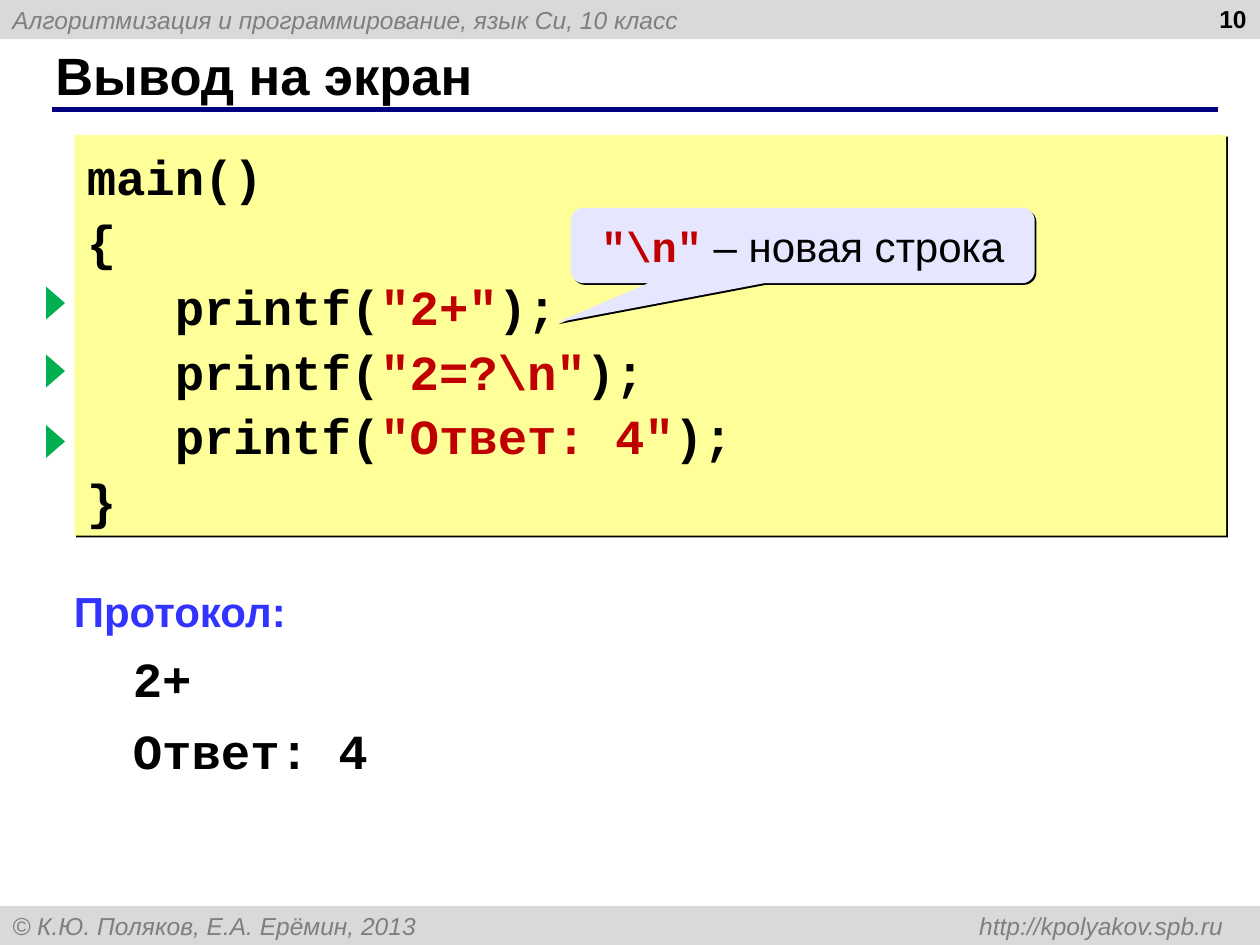
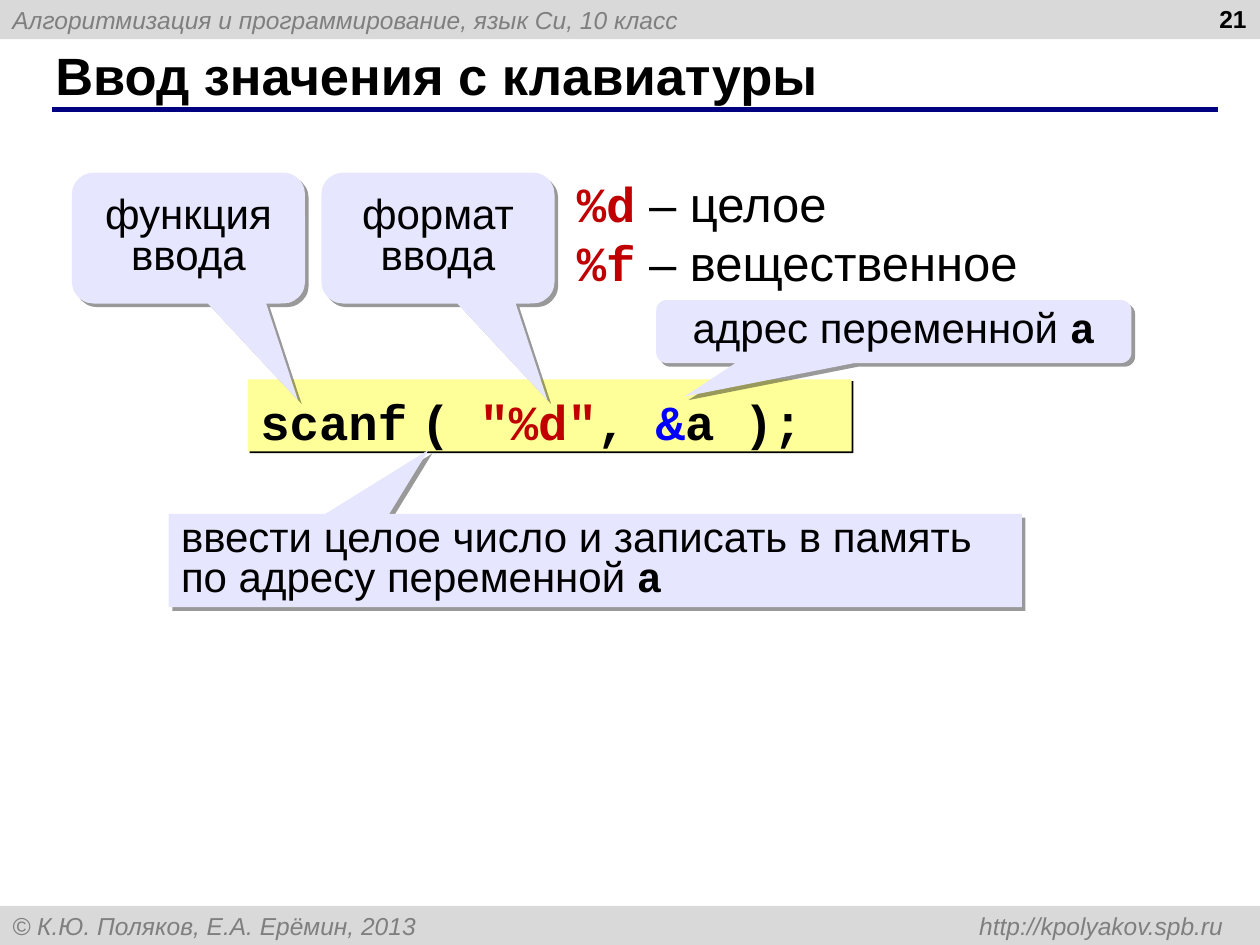
from lxml import etree
from pptx import Presentation
from pptx.dml.color import RGBColor
from pptx.enum import shapes, text
from pptx.oxml import ns
from pptx.util import Cm, Pt

BLACK = RGBColor(0x00, 0x00, 0x00)
GREY = RGBColor(0x7F, 0x7F, 0x7F)
BAND = RGBColor(0xD9, 0xD9, 0xD9)
NAVY = RGBColor(0x00, 0x00, 0x80)
BLUE = RGBColor(0x00, 0x00, 0xFF)
HEADING = RGBColor(0x33, 0x33, 0xFF)
RED = RGBColor(0xC0, 0x00, 0x00)
GREEN = RGBColor(0x00, 0xB0, 0x50)
YELLOW = RGBColor(0xFF, 0xFF, 0x99)
LILAC = RGBColor(0xE6, 0xE6, 0xFF)

SANS, MONO = "Arial", "Courier New"
CODE_SIZE, NOTE_SIZE = 28, 24
CODE_LEADING = Pt(37)
HARD, SOFT = (1.4, 100), (3, 40)
SHAPE = shapes.MSO_SHAPE


def plain(words, color=BLACK, bold=False, italic=False):
    """Describe a piece of sans-serif text."""
    return words, SANS, color, bold, italic


def code(words, color=BLACK):
    """Describe a piece of bold monospaced text."""
    return words, MONO, color, True, False


def write(paragraph, pieces, size, leading=None, align=text.PP_ALIGN.LEFT):
    """Fill a paragraph with formatted pieces."""
    paragraph.alignment = align
    if leading:
        paragraph.line_spacing = leading
    for words, face, color, bold, italic in pieces:
        run = paragraph.add_run()
        run.text = words
        font = run.font
        font.name, font.size = face, Pt(size)
        font.bold, font.italic = bold, italic
        font.color.rgb = color


def write_lines(frame, lines, size, leading=None, align=text.PP_ALIGN.LEFT):
    """Write one paragraph per line into a text frame."""
    frame.word_wrap = True
    for index, pieces in enumerate(lines):
        paragraph = frame.add_paragraph() if index else frame.paragraphs[0]
        write(paragraph, pieces, size, leading, align)


def paint(shape, color, shadow=None):
    """Give a shape a plain fill, no outline and an optional shadow."""
    shape.fill.solid()
    shape.fill.fore_color.rgb = color
    shape.line.fill.background()
    shape.shadow.inherit = False
    if shadow:
        distance, opacity = shadow
        effects = shape.element.spPr.find(ns.qn("a:effectLst"))
        outer = etree.SubElement(effects, ns.qn("a:outerShdw"), blurRad="0",
                                 dist=str(Pt(distance)), dir="2700000",
                                 algn="ctr", rotWithShape="0")
        tint = etree.SubElement(outer, ns.qn("a:srgbClr"), val="000000")
        etree.SubElement(tint, ns.qn("a:alpha"), val=str(opacity * 1000))


def add_block(slide, kind, box, color, shadow=None):
    """Add a painted preset shape."""
    block = slide.shapes.add_shape(kind, *map(Cm, box))
    paint(block, color, shadow)
    return block


def add_box(slide, box):
    """Add a text box and return its text frame."""
    return slide.shapes.add_textbox(*map(Cm, box)).text_frame


def add_band(slide, top, words, right_tab=None):
    """Add a grey band with small italic text."""
    band = add_block(slide, SHAPE.RECTANGLE, (0, top, 25.4, 0.79), BAND)
    band.text_frame.vertical_anchor = text.MSO_ANCHOR.MIDDLE
    if right_tab:
        properties = band.text_frame.paragraphs[0]._p.get_or_add_pPr()
        tabs = etree.SubElement(properties, ns.qn("a:tabLst"))
        etree.SubElement(tabs, ns.qn("a:tab"), pos=str(Cm(right_tab)), algn="r")
    write_lines(band.text_frame, [[plain(words, GREY, italic=True)]], 14)


def add_page(deck, title, number):
    """Add a slide with its bands, rule, title and number."""
    slide = deck.slides.add_slide(deck.slide_layouts[5])
    add_band(slide, 0, "Алгоритмизация и программирование, язык Си, 10 класс")
    add_band(slide, 18.26,
             "© К.Ю. Поляков, Е.А. Ерёмин, 2013\thttp://kpolyakov.spb.ru", 24.41)
    rule = slide.shapes.add_connector(shapes.MSO_CONNECTOR.STRAIGHT,
                                      Cm(1.04), Cm(2.21), Cm(24.56), Cm(2.21))
    rule.line.color.rgb, rule.line.width = NAVY, Pt(3)
    etree.SubElement(rule.element.spPr, ns.qn("a:effectLst"))

    heading = slide.shapes.title
    heading.left, heading.top = Cm(0.86), Cm(0.84)
    heading.width, heading.height = Cm(23.27), Cm(1.32)
    heading.text_frame.auto_size = text.MSO_AUTO_SIZE.NONE
    heading.text_frame.vertical_anchor = text.MSO_ANCHOR.MIDDLE
    write_lines(heading.text_frame, [[plain(title, bold=True)]], 30)
    write_lines(add_box(slide, (19.46, -0.05, 5.92, 1.32)),
                [[plain(str(number), bold=True)]], 14,
                align=text.PP_ALIGN.RIGHT)
    return slide


def add_code(slide, box, lines):
    """Add a yellow panel of program code."""
    panel = add_block(slide, SHAPE.RECTANGLE, box, YELLOW, HARD)
    panel.text_frame.vertical_anchor = text.MSO_ANCHOR.TOP
    write_lines(panel.text_frame, lines, CODE_SIZE, CODE_LEADING)


def add_callout(slide, box, tip, pieces, shadow=SOFT, leading=0.8):
    """Add a rounded callout whose tail ends at the relative tip."""
    callout = add_block(slide, SHAPE.ROUNDED_RECTANGULAR_CALLOUT, box, LILAC, shadow)
    callout.adjustments[0], callout.adjustments[1] = tip
    callout.text_frame.vertical_anchor = text.MSO_ANCHOR.MIDDLE
    write_lines(callout.text_frame, [pieces], NOTE_SIZE, leading,
                text.PP_ALIGN.CENTER)


def add_protocol(slide, output):
    """Add the program output under its heading."""
    frame = add_box(slide, (1.24, 11.68, 23.01, 4.14))
    write_lines(frame, [[plain("Протокол:", HEADING, True)]], NOTE_SIZE)
    for line in output:
        paragraph = frame.add_paragraph()
        paragraph._p.get_or_add_pPr().set("marL", str(Cm(1.19)))
        paragraph.space_before = Pt(7)
        write(paragraph, [code(line)], CODE_SIZE, Pt(34))


def add_task(slide, pieces):
    """Add the explanation box with a tail up to the code."""
    start, *rest = [(Cm(x), Cm(y)) for x, y in
                    ((6.4, 10.46), (8.64, 9.07), (7.75, 10.52))]
    outline = slide.shapes.build_freeform(*start)
    outline.add_line_segments(rest)
    paint(outline.convert_to_shape(), LILAC, SOFT)
    task = add_block(slide, SHAPE.RECTANGLE, (3.4, 10.36, 17.2, 1.88), LILAC, SOFT)
    task.text_frame.vertical_anchor = text.MSO_ANCHOR.TOP
    write_lines(task.text_frame, [pieces], NOTE_SIZE, 0.8)


def build_output_slide(deck):
    """Build the slide about printing to the screen."""
    slide = add_page(deck, "Вывод на экран", 10)
    strings = ('"2+"', '"2=?\\n"', '"Ответ: 4"')
    prints = [[code("   printf("), code(string, RED), code(");")]
              for string in strings]
    add_code(slide, (1.5, 2.72, 23.22, 8.08),
             [[code("main()")], [code("{")], *prints, [code("}")]])
    add_protocol(slide, ("2+", "Ответ: 4"))
    for top in (5.92, 7.29, 8.71):
        marker = add_block(slide, SHAPE.ISOSCELES_TRIANGLE,
                           (0.79, top, 0.66, 0.38), GREEN)
        marker.rotation = 90
    add_callout(slide, (11.51, 4.19, 9.35, 1.52), (-0.53, 1.02),
                [code('"\\n"', RED), plain(" – новая строка")], HARD, 1.0)


def build_input_slide(deck):
    """Build the slide about reading from the keyboard."""
    slide = add_page(deck, "Ввод значения с клавиатуры", 21)
    add_code(slide, (5, 7.65, 12.17, 1.45),
             [[code("scanf"), plain(" "), code("( "), code('"%d"', RED),
               code(", "), code("&", BLUE), code("a );")]])
    for left, role in ((1.45, "функция ввода"), (6.48, "формат ввода")):
        add_callout(slide, (left, 3.48, 4.7, 2.64), (0.47, 1.24), [plain(role)])
    formats = (("%d", "целое"), ("%f", "вещественное"))
    write_lines(add_box(slide, (11.38, 3.38, 9.42, 2.64)),
                [[code(mark, RED), plain(f" – {meaning}")]
                 for mark, meaning in formats], CODE_SIZE)
    add_callout(slide, (13.23, 6.05, 9.58, 1.27), (-0.44, 1.03),
                [plain("адрес переменной "), code("a")])
    add_task(slide, [plain("ввести целое число и записать в память "
                           "по адресу переменной "), code("a")])


def main():
    """Build and save the presentation."""
    deck = Presentation()
    deck.slide_width, deck.slide_height = Cm(25.4), Cm(19.05)
    build_output_slide(deck)
    build_input_slide(deck)
    deck.save("out.pptx")


if __name__ == "__main__":
    main()
